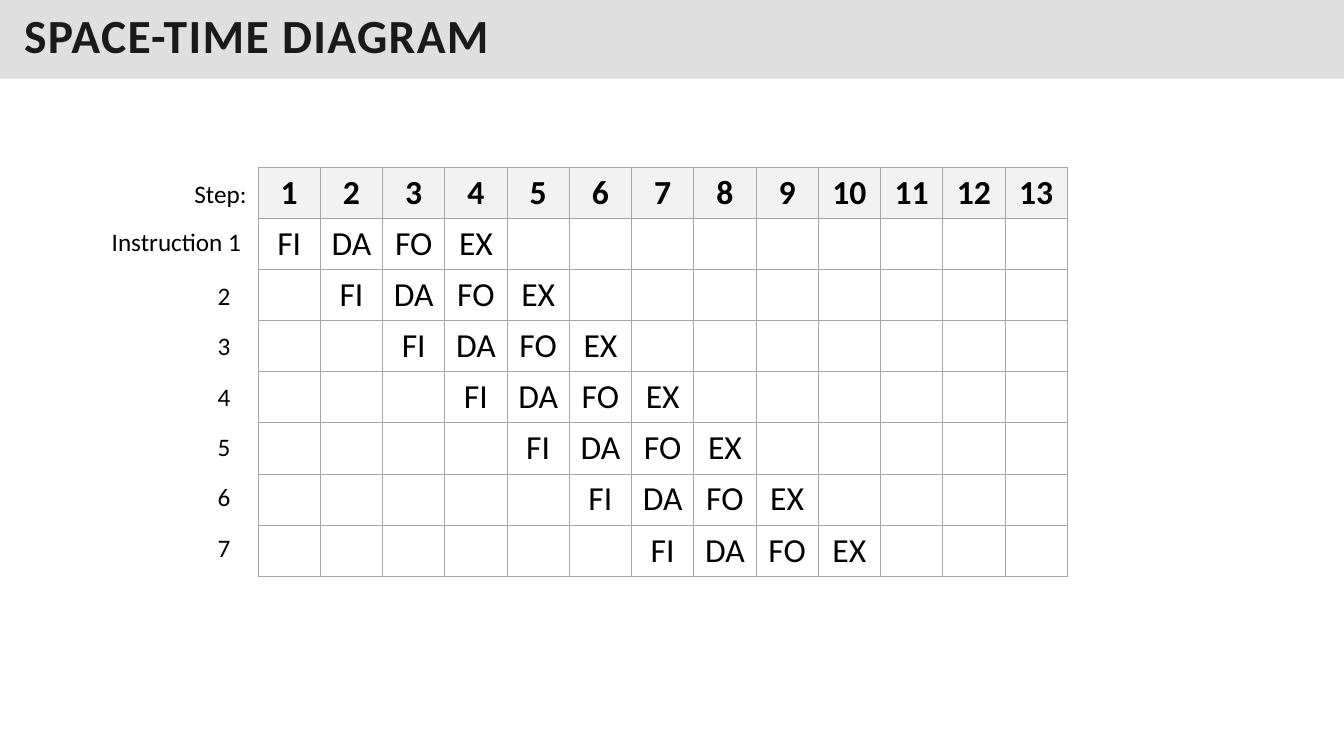
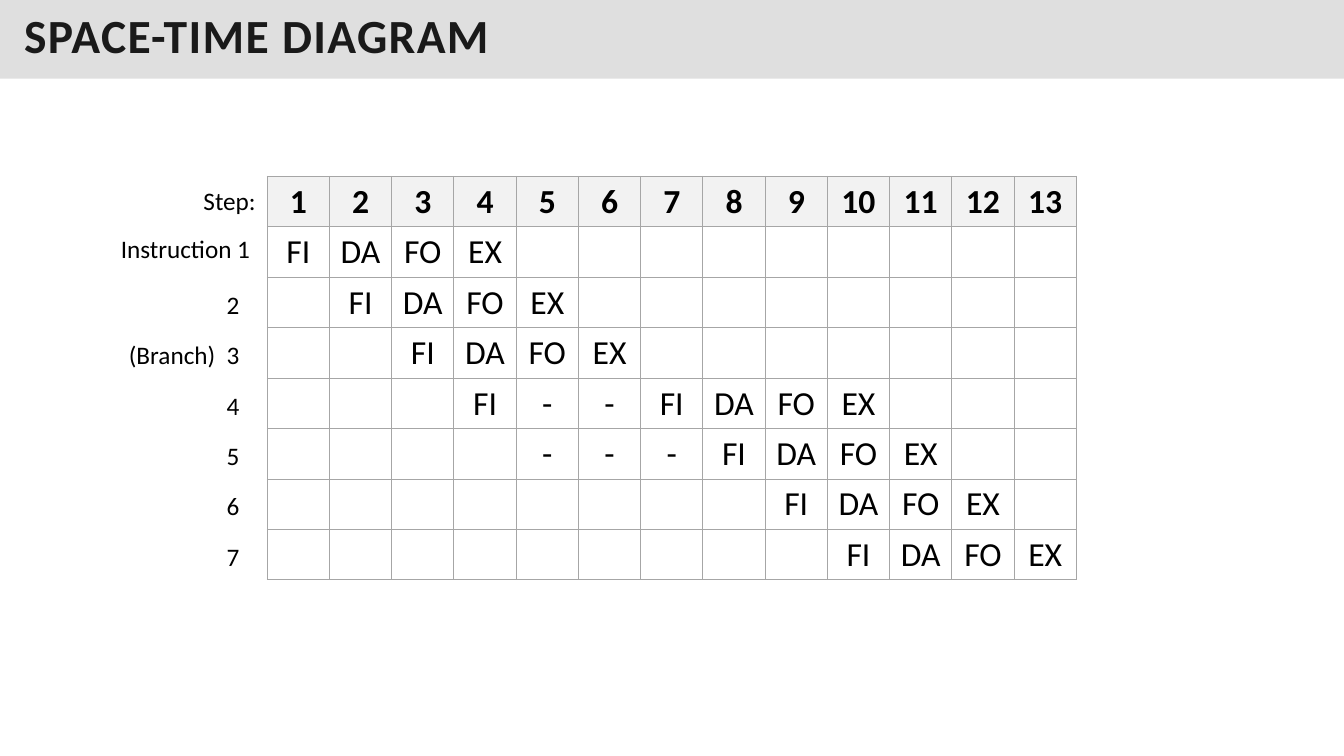
from lxml.etree import SubElement
from pptx import Presentation
from pptx.dml.color import RGBColor
from pptx.enum.shapes import MSO_SHAPE
from pptx.enum.text import MSO_ANCHOR, MSO_AUTO_SIZE, PP_ALIGN
from pptx.oxml.ns import qn
from pptx.util import Inches, Pt

FONT = "Calibri"
COLORS = {"band": "C0C0C0", "title": "1A1A1A", "text": "000000",
          "header": "F2F2F2", "cell": "FFFFFF", "border": "A6A6A6"}

TITLE = "SPACE-TIME DIAGRAM"
STEPS = 13
STAGES = "FI DA FO EX"

# Each instruction: (first step, what happens in each step from there on)
SLIDES = [
    {"left": 2.56, "top": 1.66, "heading_tops": (0.06, 0.54), "branch": None,
     "instructions": [(step, STAGES) for step in range(1, 8)]},
    {"left": 2.65, "top": 1.75, "heading_tops": (0.04, 0.52), "branch": 3,
     "instructions": [(1, STAGES), (2, STAGES), (3, STAGES),
                      (4, "FI - - " + STAGES), (5, "- - - " + STAGES),
                      (9, STAGES), (10, STAGES)]},
]

SLIDE_WIDTH, SLIDE_HEIGHT = 13.33, 7.5
BAND_HEIGHT = 0.78
TABLE_WIDTH, ROW_HEIGHT = 8.03, 0.5
LABEL_HEIGHT, LABEL_DROP = 0.4, 0.07


def style(para, size, color, bold=False):
    for span in para.runs:
        span.font.name = FONT
        span.font.size = Pt(size)
        span.font.bold = bold
        span.font.color.rgb = RGBColor.from_string(COLORS[color])


def add_title(page):
    band = page.shapes.add_shape(MSO_SHAPE.RECTANGLE, 0, 0,
                                 Inches(SLIDE_WIDTH), Inches(BAND_HEIGHT))
    band.shadow.inherit = False
    band.line.fill.background()
    band.fill.solid()
    band.fill.fore_color.rgb = RGBColor.from_string(COLORS["band"])
    color = band.fill._xPr.find(qn("a:solidFill"))[0]
    SubElement(color, qn("a:alpha"), val="50000")

    frame = band.text_frame
    frame.margin_left = frame.margin_right = Inches(0.24)
    frame.margin_top = frame.margin_bottom = Inches(0.12)
    frame.vertical_anchor = MSO_ANCHOR.MIDDLE
    frame.text = TITLE
    para = frame.paragraphs[0]
    para.alignment = PP_ALIGN.LEFT
    para.line_spacing = 0.8
    style(para, 34, "title", bold=True)
    para.runs[0].font._element.set("spc", "100")


def add_borders(cell):
    properties = cell._tc.get_or_add_tcPr()
    for side in ("a:lnL", "a:lnR", "a:lnT", "a:lnB"):
        line = SubElement(properties, qn(side), w=str(Pt(0.75)))
        fill = SubElement(line, qn("a:solidFill"))
        SubElement(fill, qn("a:srgbClr"), val=COLORS["border"])


def add_schedule(page, left, top, instructions):
    rows = [[str(step) for step in range(1, STEPS + 1)]]
    for first, activity in instructions:
        entries = [""] * (first - 1) + activity.split()
        rows.append(entries + [""] * (STEPS - len(entries)))

    table = page.shapes.add_table(
        len(rows), STEPS, Inches(left), Inches(top),
        Inches(TABLE_WIDTH), Inches(ROW_HEIGHT * len(rows))).table
    table.horz_banding = False
    for column in table.columns:
        column.width = Inches(TABLE_WIDTH / STEPS)
    for row, entries in enumerate(rows):
        is_header = row == 0
        for column, entry in enumerate(entries):
            cell = table.cell(row, column)
            add_borders(cell)
            cell.fill.solid()
            cell.fill.fore_color.rgb = RGBColor.from_string(
                COLORS["header" if is_header else "cell"])
            if entry:
                cell.text_frame.text = entry
                para = cell.text_frame.paragraphs[0]
                para.alignment = PP_ALIGN.CENTER
                style(para, 24, "text", bold=is_header)


def add_label(page, text, right, top, width):
    box = page.shapes.add_textbox(Inches(right - width), Inches(top),
                                  Inches(width), Inches(LABEL_HEIGHT))
    frame = box.text_frame
    frame.word_wrap = False
    frame.auto_size = MSO_AUTO_SIZE.SHAPE_TO_FIT_TEXT
    frame.text = text
    style(frame.paragraphs[0], 18, "text")


def add_labels(page, left, top, heading_tops, count, branch):
    step_top, first_top = heading_tops
    add_label(page, "Step:", left, top + step_top, 0.73)
    add_label(page, "Instruction 1", left - 0.05, top + first_top, 1.5)
    for number in range(2, count + 1):
        row_top = top + LABEL_DROP + number * ROW_HEIGHT
        add_label(page, str(number), left - 0.17, row_top, 0.33)
        if number == branch:
            add_label(page, "(Branch)", left - 0.4, row_top, 1.07)


def main():
    deck = Presentation()
    deck.slide_width = Inches(SLIDE_WIDTH)
    deck.slide_height = Inches(SLIDE_HEIGHT)
    for content in SLIDES:
        page = deck.slides.add_slide(deck.slide_layouts[6])
        left, top = content["left"], content["top"]
        instructions = content["instructions"]
        add_title(page)
        add_schedule(page, left, top, instructions)
        add_labels(page, left, top, content["heading_tops"],
                   len(instructions), content["branch"])
    deck.save("out.pptx")


if __name__ == "__main__":
    main()
